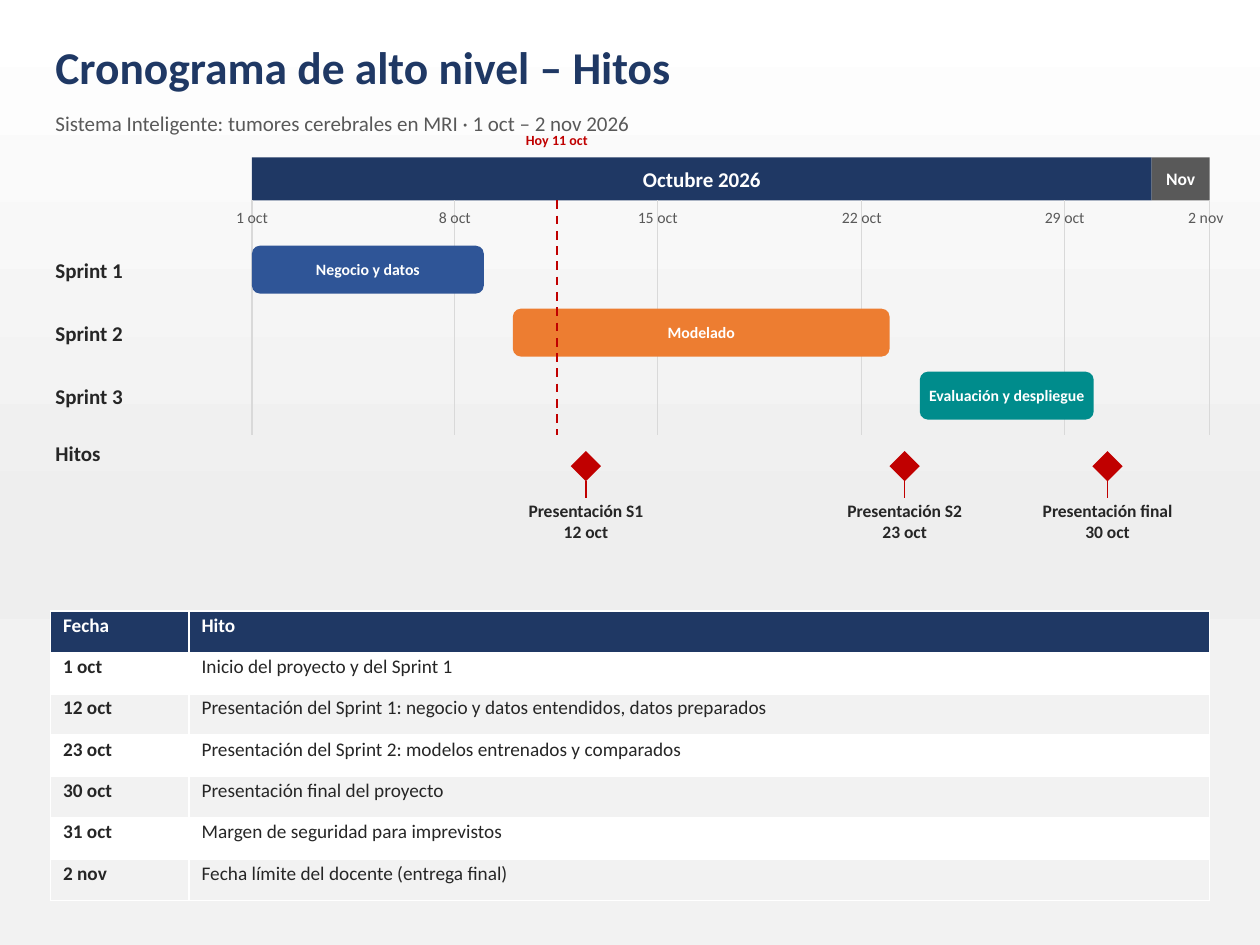
"""Build a one-slide project schedule with sprints, milestones and a date table."""
from lxml import etree
from pptx import Presentation
from pptx.dml.color import RGBColor
from pptx.enum.dml import MSO_LINE
from pptx.enum.shapes import MSO_CONNECTOR, MSO_SHAPE
from pptx.enum.text import MSO_ANCHOR, MSO_AUTO_SIZE, PP_ALIGN
from pptx.oxml.ns import qn
from pptx.util import Pt

PX = 9144
RECT, ROUNDED, DIAMOND = MSO_SHAPE.RECTANGLE, MSO_SHAPE.ROUNDED_RECTANGLE, MSO_SHAPE.DIAMOND
STRAIGHT, DASH = MSO_CONNECTOR.STRAIGHT, MSO_LINE.DASH
LEFT, CENTER = PP_ALIGN.LEFT, PP_ALIGN.CENTER
TOP, MIDDLE = MSO_ANCHOR.TOP, MSO_ANCHOR.MIDDLE
GROW = MSO_AUTO_SIZE.SHAPE_TO_FIT_TEXT
rgb = RGBColor.from_string

FONT = "Calibri"
NAVY, GRAY, INK, RED, WHITE, PALE = "1F3864", "595959", "262626", "C00000", "FFFFFF", "F2F2F2"
AXIS_LEFT, AXIS_RIGHT, DAYS = 200, 960, 33
DAY = (AXIS_RIGHT - AXIS_LEFT) / DAYS
GRID_TOP, GRID_BOTTOM = 159, 345

prs = Presentation()
prs.slide_width, prs.slide_height = 1000 * PX, 750 * PX
slide = prs.slides.add_slide(prs.slide_layouts[6])


def add_box(left, top, width, height, text="", size=12, color=INK, bold=True,
            align=CENTER, anchor=MIDDLE, kind=None, fill=None):
    """Add a text box, or a filled shape when a kind is given."""
    place = [round(v) * PX for v in (left, top, width, height)]
    if kind is None:
        box = slide.shapes.add_textbox(*place)
    else:
        box = slide.shapes.add_shape(kind, *place)
        box.shadow.inherit = False
        box.line.fill.background()
        box.fill.solid()
        box.fill.fore_color.rgb = rgb(fill)
    frame = box.text_frame
    frame.word_wrap = True
    frame.vertical_anchor = anchor
    if kind is None:
        frame.auto_size = GROW
    frame.margin_left = frame.margin_right = (4 if kind is None else 5) * PX
    frame.margin_top = frame.margin_bottom = 2 * PX
    frame.text = text
    for paragraph in frame.paragraphs:
        paragraph.alignment = align
        for run in paragraph.runs:
            run.font.name, run.font.size, run.font.bold = FONT, Pt(size), bold
            run.font.color.rgb = rgb(color)
    return box


def add_vertical(x, top, bottom, color, width=0.75):
    """Add a vertical line without shadow."""
    x = round(x) * PX
    rule = slide.shapes.add_connector(STRAIGHT, x, top * PX, x, bottom * PX)
    rule.line.color.rgb = rgb(color)
    rule.line.width = Pt(width)
    etree.SubElement(rule._element.spPr, qn("a:effectLst"))
    return rule


backdrop = add_box(0, 0, 1000, 750, kind=RECT, fill=WHITE)
backdrop.fill.gradient()
backdrop.fill.gradient_angle = 270
stops = backdrop._element.spPr.find(".//" + qn("a:gsLst"))
for stop in list(stops):
    stops.remove(stop)
for percent, shade in ((0, WHITE), (57, "EEEEEE"), (74, PALE), (100, PALE)):
    stop = etree.SubElement(stops, qn("a:gs"), pos=str(percent * 1000))
    etree.SubElement(stop, qn("a:srgbClr"), val=shade)

add_box(40, 25, 920, 55, "Cronograma de alto nivel – Hitos", 26, NAVY, align=LEFT)
add_box(40, 80, 920, 35, "Sistema Inteligente: tumores cerebrales en MRI · 1 oct – 2 nov 2026",
        12, GRAY, bold=False, align=LEFT)

october_end = AXIS_LEFT + 31 * DAY
add_box(AXIS_LEFT, 125, october_end - AXIS_LEFT, 34, "Octubre 2026", 12, WHITE,
        kind=RECT, fill=NAVY)
add_box(october_end, 125, AXIS_RIGHT - october_end, 34, "Nov", 10, WHITE, kind=RECT, fill=GRAY)

ticks = [(day, f"{day + 1} oct", 0) for day in range(0, 31, 7)] + [(DAYS, "2 nov", -3)]
for day, date, shift in ticks:
    x = AXIS_LEFT + day * DAY
    add_vertical(x, GRID_TOP, GRID_BOTTOM, "D9D9D9")
    add_box(x - 35 + shift, 161, 70, 22, date, 9, GRAY, bold=False)

sprints = [
    ("Negocio y datos", 0, 8, "2F5597"),
    ("Modelado", 9, 13, "ED7D31"),
    ("Evaluación y despliegue", 23, 6, "008C8C"),
]
for index, (phase, start, length, color) in enumerate(sprints):
    top = 195 + 50 * index
    add_box(40, top, 150, 38, f"Sprint {index + 1}", align=LEFT)
    add_box(AXIS_LEFT + start * DAY, top, length * DAY, 38, phase, 9, WHITE,
            kind=ROUNDED, fill=color)

add_box(40, 345, 150, 30, "Hitos", align=LEFT)
for milestone, date in (("Presentación S1", 12), ("Presentación S2", 23),
                        ("Presentación final", 30)):
    x = AXIS_LEFT + (date - 0.5) * DAY
    add_box(x - 12, 358, 24, 24, kind=DIAMOND, fill=RED)
    add_vertical(x, 382, 395, RED)
    add_box(x - 65, 395, 130, 62, f"{milestone}\n{date} oct", 10, anchor=TOP)

today = AXIS_LEFT + 10.5 * DAY
add_vertical(today, GRID_TOP, GRID_BOTTOM, RED, 1.25).line.dash_style = DASH
add_box(today - 40, 100, 80, 22, "Hoy 11 oct", 8, RED)

dates = [
    ("Fecha", "Hito"),
    ("1 oct", "Inicio del proyecto y del Sprint 1"),
    ("12 oct", "Presentación del Sprint 1: negocio y datos entendidos, datos preparados"),
    ("23 oct", "Presentación del Sprint 2: modelos entrenados y comparados"),
    ("30 oct", "Presentación final del proyecto"),
    ("31 oct", "Margen de seguridad para imprevistos"),
    ("2 nov", "Fecha límite del docente (entrega final)"),
]
schedule = slide.shapes.add_table(len(dates), 2, 40 * PX, 485 * PX, 920 * PX, 230 * PX).table
schedule.columns[0].width, schedule.columns[1].width = 110 * PX, 810 * PX
for row, entries in enumerate(dates):
    for column, entry in enumerate(entries):
        cell = schedule.cell(row, column)
        cell.margin_left = cell.margin_right = 10 * PX
        cell.margin_top = cell.margin_bottom = 2 * PX
        cell.fill.solid()
        cell.fill.fore_color.rgb = rgb(NAVY if row == 0 else WHITE if row % 2 else PALE)
        cell.text = entry
        font = cell.text_frame.paragraphs[0].runs[0].font
        font.name, font.size = FONT, Pt(11)
        font.bold = row == 0 or column == 0
        font.color.rgb = rgb(INK if row else WHITE)

prs.save("out.pptx")
